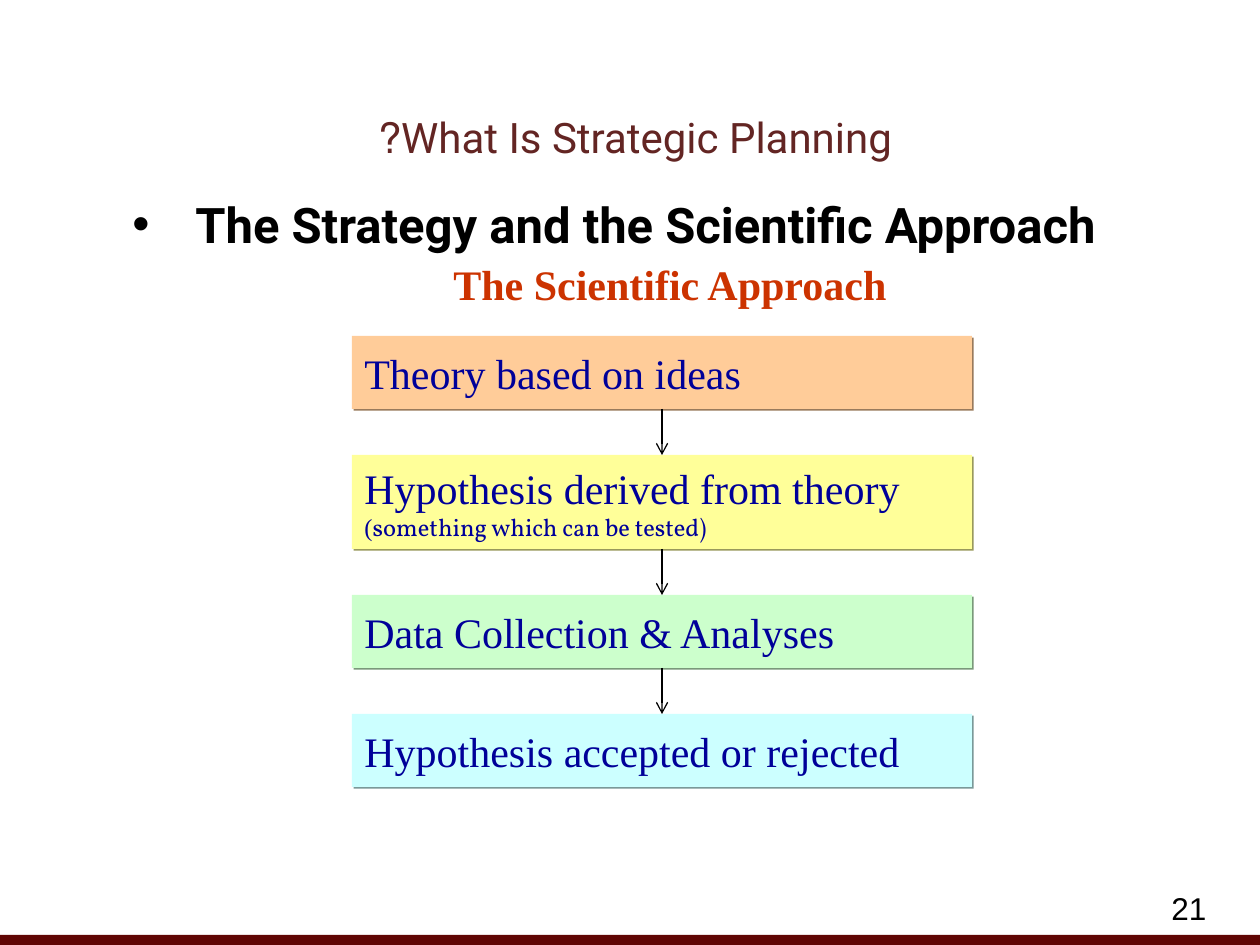
from dataclasses import dataclass

import pptx
import pptx.dml.color
import pptx.enum.shapes
import pptx.enum.text
import pptx.oxml
import pptx.oxml.ns
import pptx.util

PX = 914400 / 126
ALIGN = pptx.enum.text.PP_ALIGN
ANCHOR = pptx.enum.text.MSO_ANCHOR


@dataclass(frozen=True)
class Theme:
    serif: str = "Times New Roman"
    sans: str = "Roboto"
    note: str = "Vollkorn"
    number: str = "Arial"
    black: str = "000000"
    footer: str = "600604"
    title: str = "632523"
    heading: str = "CC3300"
    step: str = "000099"
    note_size: int = 14
    number_size: int = 18
    text_size: int = 24
    body_size: int = 28


THEME = Theme()


@dataclass(frozen=True)
class Run:
    text: str
    font: str
    size: int
    color: str
    bold: bool = False


@dataclass(frozen=True)
class Step:
    height: int
    fill: str
    shadow: str
    paragraphs: list[list[Run]]


def emu(px: int) -> pptx.util.Emu:
    return pptx.util.Emu(round(px * PX))


def rgb(color: str) -> pptx.dml.color.RGBColor:
    return pptx.dml.color.RGBColor.from_string(color)


def add_xml(parent, xml: str) -> None:
    """Append an element of the a: namespace to parent."""
    head, rest = xml[:-2].split(" ", 1) if " " in xml else (xml[:-2], "")
    if not xml.endswith("/>") or xml.count("<") > 1:
        head, rest = xml.split(" ", 1)
        tail = rest
    else:
        tail = rest + "/>"
    ns = pptx.oxml.ns.nsdecls("a")
    parent.append(pptx.oxml.parse_xml(f"{head} {ns} {tail}"))


def write(p, runs: list[Run], align=ALIGN.LEFT) -> None:
    p.alignment = align
    for run in runs:
        r = p.add_run()
        r.text = run.text
        r.font.name = run.font
        r.font.size = pptx.util.Pt(run.size)
        r.font.bold = run.bold
        r.font.color.rgb = rgb(run.color)


def add_text(s, x: int, y: int, w: int, h: int, wrap: bool = True):
    """Add an empty text box and return its text frame."""
    tf = s.shapes.add_textbox(emu(x), emu(y), emu(w), emu(h)).text_frame
    tf.word_wrap = wrap
    return tf


def add_rect(s, x: int, y: int, w: int, h: int, fill: str):
    sp = s.shapes.add_shape(pptx.enum.shapes.MSO_SHAPE.RECTANGLE,
                            emu(x), emu(y), emu(w), emu(h))
    sp.fill.solid()
    sp.fill.fore_color.rgb = rgb(fill)
    sp.line.fill.background()
    sp.shadow.inherit = False
    return sp


def add_step(s, step: Step, x: int, y: int, w: int):
    sp = add_rect(s, x, y, w, step.height, step.fill)
    effects = sp._element.spPr.find(pptx.oxml.ns.qn("a:effectLst"))
    add_xml(effects, '<a:outerShdw dist="17780" dir="2700000" algn="ctr" rotWithShape="0">'
                     f'<a:srgbClr val="{step.shadow}"/></a:outerShdw>')
    tf = sp.text_frame
    tf.word_wrap = True
    tf.vertical_anchor = ANCHOR.MIDDLE
    for i, runs in enumerate(step.paragraphs):
        write(tf.add_paragraph() if i else tf.paragraphs[0], runs)
    return sp


def add_arrow(s, upper, lower) -> None:
    """Join the bottom of one step to the top of the next."""
    line = s.shapes.add_connector(pptx.enum.shapes.MSO_CONNECTOR.STRAIGHT, 0, 0, 0, 0)
    line.begin_connect(upper, 2)
    line.end_connect(lower, 0)
    line.line.color.rgb = rgb(THEME.black)
    line.line.width = pptx.util.Pt(0.75)
    add_xml(line.line._get_or_add_ln(), '<a:tailEnd type="arrow"/>')
    add_xml(line._element.spPr, "<a:effectLst/>")


def step_run(text: str, font: str = THEME.serif, size: int = THEME.text_size) -> Run:
    return Run(text, font, size, THEME.step)


STEPS = [
    Step(73, "FFCC99", "997A5C", [[step_run("Theory based on ideas")]]),
    Step(94, "FFFF99", "99995C", [
        [step_run("Hypothesis derived from theory")],
        [step_run("(", size=THEME.note_size),
         step_run("something which can be tested)", THEME.note, THEME.note_size)],
    ]),
    Step(73, "CCFFCC", "7A997A", [[step_run("Data Collection & Analyses")]]),
    Step(73, "CCFFFF", "7A9999", [[step_run("Hypothesis accepted or rejected")]]),
]
STEP_LEFT, STEP_TOP, STEP_WIDTH, STEP_GAP = 352, 336, 620, 46


def add_titles(s) -> None:
    tf = add_text(s, 63, 84, 1144, 105)
    tf.vertical_anchor = ANCHOR.MIDDLE
    p = tf.paragraphs[0]
    p._p.get_or_add_pPr().set("rtl", "1")
    write(p, [Run("What Is Strategic Planning?", THEME.sans, THEME.text_size, THEME.title)],
          ALIGN.CENTER)

    p = add_text(s, 66, 188, 1096, 650).paragraphs[0]
    props = p._p.get_or_add_pPr()
    props.set("marL", str(emu(63)))
    props.set("indent", str(emu(-63)))
    add_xml(props, f'<a:buClr ><a:srgbClr val="{THEME.black}"/></a:buClr>')
    add_xml(props, '<a:buFont typeface="Arial"/>')
    add_xml(props, '<a:buChar char="•"/>')
    write(p, [Run("The Strategy and the Scientific Approach", THEME.sans,
                  THEME.body_size, THEME.black, True)], ALIGN.CENTER)

    tf = add_text(s, 441, 252, 461, 63, wrap=False)
    write(tf.paragraphs[0], [Run("The Scientific Approach", THEME.serif,
                                 THEME.text_size, THEME.heading, True)])


def add_flow(s) -> None:
    y, previous = STEP_TOP, None
    for step in STEPS:
        sp = add_step(s, step, STEP_LEFT, y, STEP_WIDTH)
        if previous is not None:
            add_arrow(s, previous, sp)
        y, previous = y + step.height + STEP_GAP, sp


def main() -> None:
    prs = pptx.Presentation()
    prs.slide_width, prs.slide_height = emu(1260), emu(945)
    s = prs.slides.add_slide(prs.slide_layouts[6])
    add_rect(s, 0, 935, 1260, 10, THEME.footer)
    number = add_text(s, 1159, 883, 77, 43)
    write(number.paragraphs[0], [Run("21", THEME.number, THEME.number_size, THEME.black)])
    add_titles(s)
    add_flow(s)
    prs.save("out.pptx")


if __name__ == "__main__":
    main()
